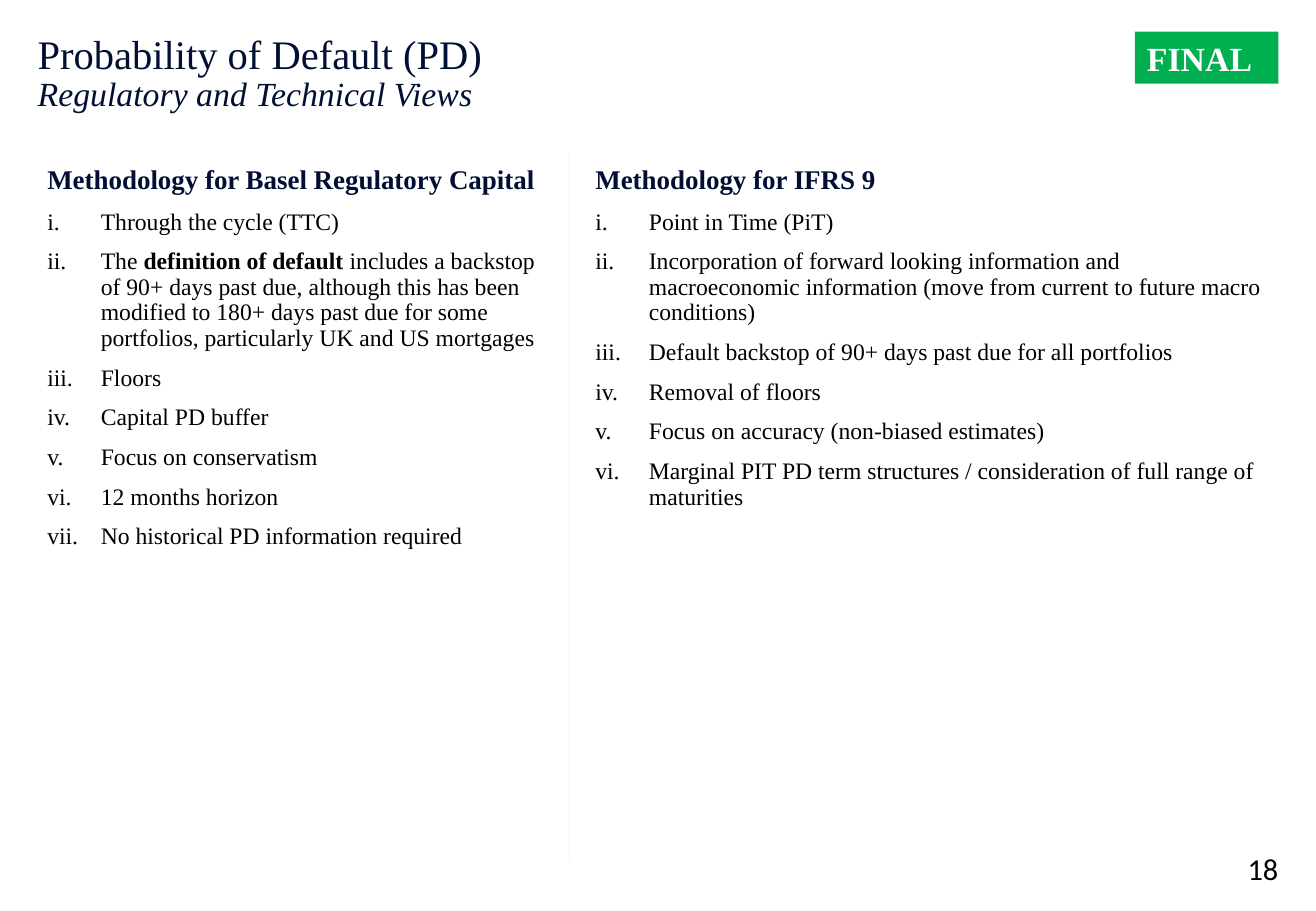
from lxml.etree import SubElement
from pptx import Presentation
from pptx.dml.color import RGBColor
from pptx.enum.shapes import MSO_CONNECTOR, MSO_SHAPE
from pptx.enum.text import MSO_ANCHOR, MSO_AUTO_SIZE, PP_ALIGN
from pptx.oxml.ns import qn
from pptx.util import Inches, Pt

NAVY = RGBColor(0x00, 0x0F, 0x33)
BLACK = RGBColor(0x00, 0x00, 0x00)
WHITE = RGBColor(0xFF, 0xFF, 0xFF)
GREEN = RGBColor(0x00, 0xB0, 0x50)
PALE_GREY = RGBColor(0xF2, 0xF2, 0xF2)
SERIF = "Times New Roman"

# Page frame, in inches
WIDTH, HEIGHT = 10.83, 7.5
MARGIN = 0.31
RIGHT = WIDTH - MARGIN
BODY_TOP, BODY_HEIGHT = 1.29, 5.66
BASEL_WIDTH, IFRS_WIDTH = 4.2, 5.7
DIVIDER_X = 4.69
HANGING = 0.44

# Each point is a list of (text, bold) runs
BASEL_POINTS = [
    [("Through the cycle (TTC)", False)],
    [("The ", False), ("definition of default ", True),
     ("includes a backstop of 90+ days past due, although this has been modified "
      "to 180+ days past due for some portfolios, particularly UK and US mortgages", False)],
    [("Floors", False)],
    [("Capital PD buffer", False)],
    [("Focus on conservatism", False)],
    [("12 months horizon", False)],
    [("No historical PD information required", False)],
]
IFRS_POINTS = [
    [("Point in Time (PiT)", False)],
    [("Incorporation of forward looking information and macroeconomic information "
      "(move from current to future macro conditions)", False)],
    [("Default backstop of 90+ days past due for all portfolios", False)],
    [("Removal of floors", False)],
    [("Focus on accuracy (non-biased estimates)", False)],
    [("Marginal PIT PD term structures / consideration of full range of maturities", False)],
]


def place(shape, box):
    shape.left, shape.top, shape.width, shape.height = map(Inches, box)


def set_frame(frame, insets=(0, 0, 0, 0), anchor=MSO_ANCHOR.TOP):
    frame.word_wrap = True
    frame.auto_size = MSO_AUTO_SIZE.NONE
    frame.vertical_anchor = anchor
    (frame.margin_left, frame.margin_top,
     frame.margin_right, frame.margin_bottom) = map(Inches, insets)


def add_run(paragraph, text, size, color, bold=False, italic=False, face=SERIF):
    run = paragraph.add_run()
    run.text = text
    font = run.font
    font.name, font.size, font.bold, font.italic = face, Pt(size), bold, italic
    font.color.rgb = color


def number_roman(paragraph):
    properties = paragraph._p.get_or_add_pPr()
    properties.set("marL", str(Inches(HANGING)))
    properties.set("indent", str(-Inches(HANGING)))
    SubElement(properties, qn("a:buFont"), typeface="+mj-lt")
    SubElement(properties, qn("a:buAutoNum"), type="romanLcPeriod")


def add_title(slide, box):
    title = slide.shapes.title
    place(title, box)
    set_frame(title.text_frame)
    heading = title.text_frame.paragraphs[0]
    heading.alignment = PP_ALIGN.LEFT
    heading.line_spacing = 0.9
    add_run(heading, "Probability of Default (PD)", 24, NAVY)
    heading.add_line_break()
    add_run(heading, "Regulatory and Technical Views", 20, NAVY, italic=True)


def add_methodology(slide, box, heading, points):
    column = slide.shapes.add_textbox(*map(Inches, box)).text_frame
    set_frame(column, (0.08, 0.08, 0.08, 0))
    first = column.paragraphs[0]
    first.line_spacing = 0.9
    add_run(first, heading, 16, NAVY, bold=True)
    for runs in points:
        point = column.add_paragraph()
        number_roman(point)
        point.line_spacing = 0.9
        point.space_before = Pt(8.4)
        for text, bold in runs:
            add_run(point, text, 14, BLACK, bold)


def add_divider(slide, x, top, bottom):
    divider = slide.shapes.add_connector(
        MSO_CONNECTOR.STRAIGHT, Inches(x), Inches(top), Inches(x), Inches(bottom))
    divider.line.color.rgb = PALE_GREY
    divider.line.width = Pt(0.75)
    SubElement(divider._element.spPr, qn("a:effectLst"))


def add_status(slide, box):
    status = slide.shapes.add_shape(MSO_SHAPE.RECTANGLE, *map(Inches, box))
    status.shadow.inherit = False
    status.fill.solid()
    status.fill.fore_color.rgb = GREEN
    status.line.fill.background()
    set_frame(status.text_frame, (0.1, 0.05, 0.1, 0.05))
    label = status.text_frame.paragraphs[0]
    label.alignment = PP_ALIGN.LEFT
    add_run(label, "FINAL", 20, WHITE, bold=True)


def add_page_number(slide, box):
    page = slide.shapes.add_textbox(*map(Inches, box)).text_frame
    set_frame(page, anchor=MSO_ANCHOR.BOTTOM)
    number = page.paragraphs[0]
    number.alignment = PP_ALIGN.RIGHT
    add_run(number, "18", 18, BLACK, face="Calibri")


def main():
    deck = Presentation()
    deck.slide_width, deck.slide_height = Inches(WIDTH), Inches(HEIGHT)
    slide = deck.slides.add_slide(deck.slide_layouts[5])

    # Header
    add_title(slide, (MARGIN, 0.28, RIGHT - MARGIN, BODY_TOP - 0.28))
    add_page_number(slide, (RIGHT - 0.48, 6.99, 0.48, 0.31))

    # Two methodologies side by side
    add_methodology(slide, (MARGIN, BODY_TOP, BASEL_WIDTH, BODY_HEIGHT),
                    "Methodology for Basel Regulatory Capital", BASEL_POINTS)
    add_methodology(slide, (RIGHT - IFRS_WIDTH, BODY_TOP, IFRS_WIDTH, BODY_HEIGHT),
                    "Methodology for IFRS 9", IFRS_POINTS)
    add_divider(slide, DIVIDER_X, 1.26, 7.1)

    # Status tag
    add_status(slide, (RIGHT - 1.18, 0.26, 1.18, 0.43))

    deck.save("out.pptx")


if __name__ == "__main__":
    main()
